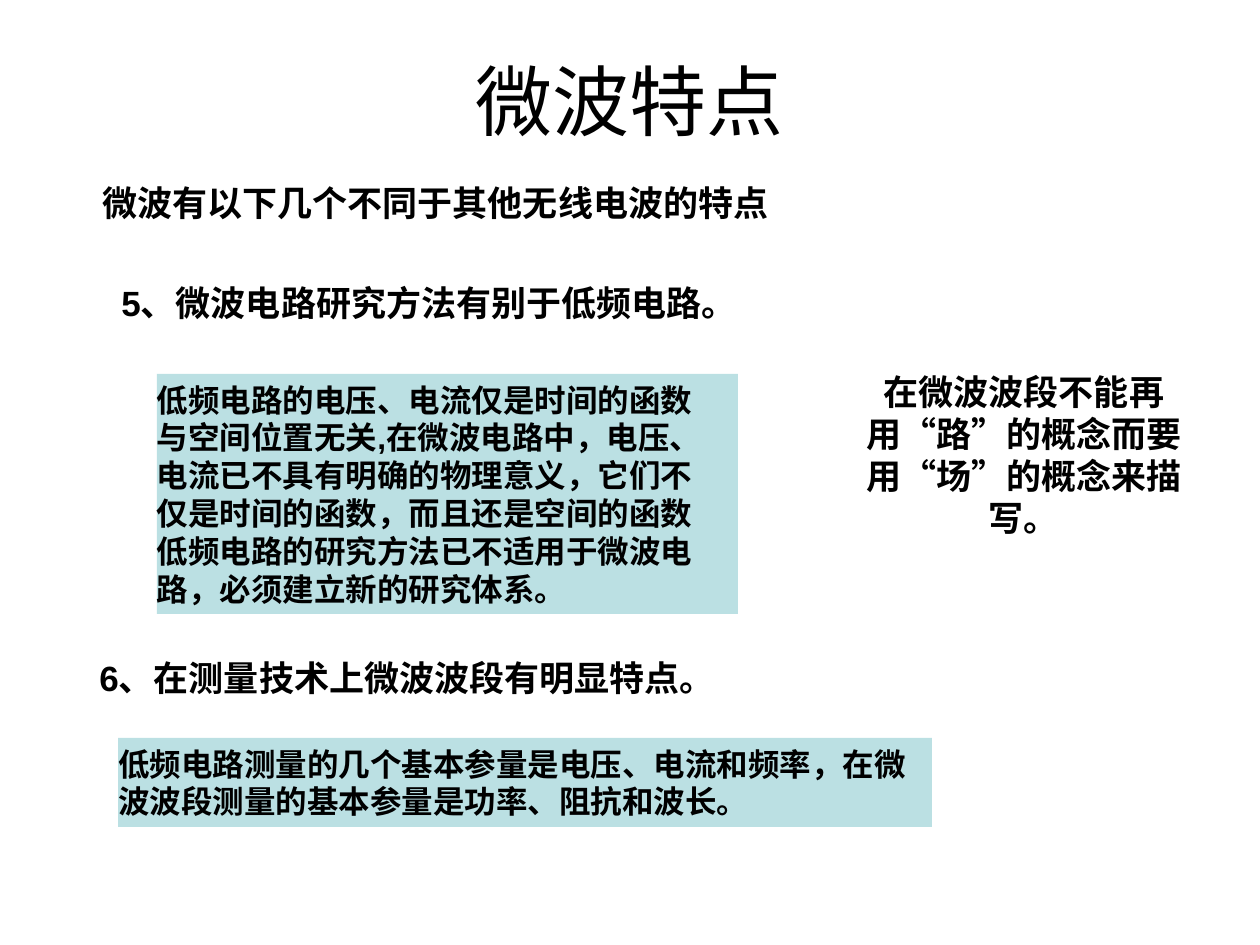
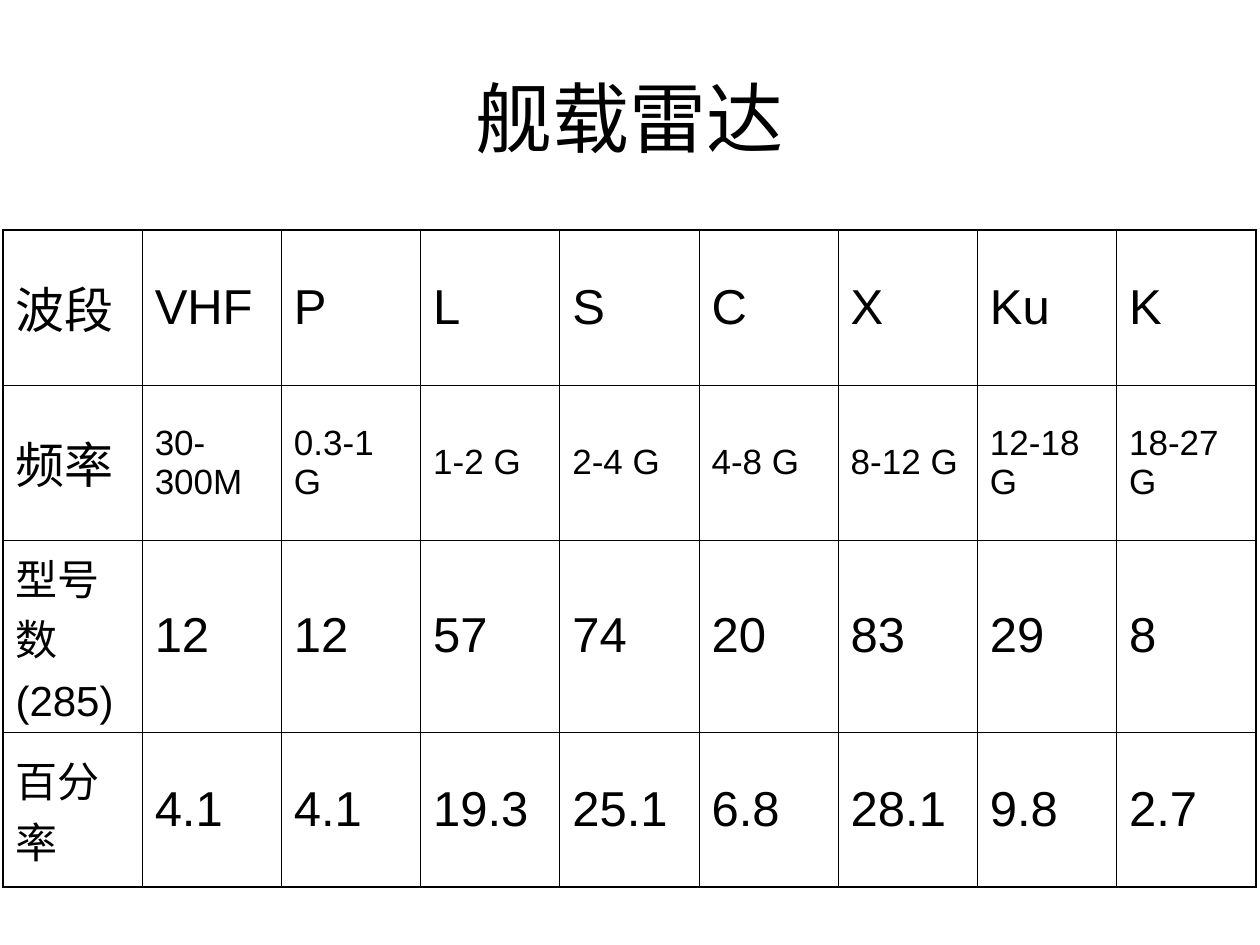
"""Two slides on microwave characteristics and shipborne radar bands."""
import lxml.etree
import pptx
import pptx.dml.color
import pptx.enum.lang
import pptx.enum.shapes
import pptx.enum.text
import pptx.oxml.ns
import pptx.util

PX = pptx.util.Inches(1) / 126
COLORS = {"ink": "000000", "panel": "BBE0E3"}
FONT = "Arial"
ALIGN = pptx.enum.text.PP_ALIGN
ANCHOR = pptx.enum.text.MSO_ANCHOR
BORDER = pptx.util.Pt(0.45)
FRAME = pptx.util.Pt(1.08)

RADAR_ROWS = [
    ["波段", "VHF", "P", "L", "S", "C", "X", "Ku", "K"],
    ["频率", "30-300M", "0.3-1 G", "1-2 G", "2-4 G", "4-8 G", "8-12 G", "12-18 G", "18-27 G"],
    ["型号数\n(285)", "12", "12", "57", "74", "20", "83", "29", "8"],
    ["百分率", "4.1", "4.1", "19.3", "25.1", "6.8", "28.1", "9.8", "2.7"],
]
LABEL_SIZES = [28, 28, 24, 24]
VALUE_SIZES = [28, 20, 28, 28]
ROW_HEIGHTS = [155, 155, 192, 155]


def px(length):
    """Turn a length in px into EMU."""
    return round(length * PX)


def color(name):
    """Return a named colour."""
    return pptx.dml.color.RGBColor.from_string(COLORS[name])


def write(frame, text, size, bold=False, align=ALIGN.LEFT, gap=0):
    """Write lines of text as paragraphs of one style, gap points apart."""
    frame.text = text
    for index, para in enumerate(frame.paragraphs):
        para.alignment = align
        para._p.get_or_add_pPr().set("hangingPunct", "0")
        if index:
            para.space_before = pptx.util.Pt(gap)
        for span in para.runs:
            span.font.name = FONT
            span.font.size = pptx.util.Pt(size)
            span.font.bold = bold
            span.font.color.rgb = color("ink")
            span.font.language_id = pptx.enum.lang.MSO_LANGUAGE_ID.SIMPLIFIED_CHINESE


def add_text(page, box, text, size, wrap=True, anchor=ANCHOR.MIDDLE, grow=True, **style):
    """Add a text box."""
    frame = page.shapes.add_textbox(*map(px, box)).text_frame
    frame.word_wrap = wrap
    frame.vertical_anchor = anchor
    if grow:
        frame.auto_size = pptx.enum.text.MSO_AUTO_SIZE.SHAPE_TO_FIT_TEXT
    write(frame, text, size, **style)


def add_title(page, box, text):
    """Add a centred slide title."""
    add_text(page, box, text, 44, grow=False, align=ALIGN.CENTER)


def add_heading(page, box, text):
    """Add a bold heading on one line."""
    add_text(page, box, text, 20, wrap=False, bold=True)


def add_panel(page, box, text):
    """Add a tinted panel of bold text."""
    panel = page.shapes.add_shape(pptx.enum.shapes.MSO_SHAPE.RECTANGLE, *map(px, box))
    panel.shadow.inherit = False
    panel.fill.solid()
    panel.fill.fore_color.rgb = color("panel")
    panel.line.fill.background()
    frame = panel.text_frame
    frame.word_wrap = True
    frame.vertical_anchor = ANCHOR.MIDDLE
    frame.margin_left = frame.margin_right = 0
    write(frame, text, 18, bold=True)


def set_borders(cell, widths):
    """Draw the left, right, top and bottom borders of a cell."""
    properties = cell._tc.get_or_add_tcPr()
    for index, (side, width) in enumerate(zip("LRTB", widths)):
        line = lxml.etree.Element(pptx.oxml.ns.qn(f"a:ln{side}"), w=str(int(width)))
        fill = lxml.etree.SubElement(line, pptx.oxml.ns.qn("a:solidFill"))
        lxml.etree.SubElement(fill, pptx.oxml.ns.qn("a:srgbClr"), val=COLORS["ink"])
        properties.insert(index, line)


def add_radar_table(page, box):
    """Add the table of radar bands with a heavier outer frame."""
    rows, columns = len(RADAR_ROWS), len(RADAR_ROWS[0])
    table = page.shapes.add_table(rows, columns, *map(px, box)).table
    table.first_row = table.horz_banding = False
    for r, values in enumerate(RADAR_ROWS):
        table.rows[r].height = px(ROW_HEIGHTS[r])
        for c, value in enumerate(values):
            cell = table.cell(r, c)
            cell.fill.background()
            cell.vertical_anchor = ANCHOR.MIDDLE
            size = VALUE_SIZES[r] if c else LABEL_SIZES[r]
            write(cell.text_frame, value, size, gap=6)
            outer = [c == 0, c == columns - 1, r == 0, r == rows - 1]
            set_borders(cell, [FRAME if edge else BORDER for edge in outer])


def build_features(page):
    """Build the slide on microwave characteristics."""
    add_title(page, (73, 26, 1113, 147), "微波特点")
    add_heading(page, (90, 175, 692, 55), "微波有以下几个不同于其他无线电波的特点")
    add_heading(page, (109, 275, 656, 55), "5、微波电路研究方法有别于低频电路。")
    add_panel(page, (157, 374, 581, 240), "\n".join([
        "低频电路的电压、电流仅是时间的函数",
        "与空间位置无关,在微波电路中，电压、",
        "电流已不具有明确的物理意义，它们不",
        "仅是时间的函数，而且还是空间的函数",
        "低频电路的研究方法已不适用于微波电路，必须建立新的研究体系。",
    ]))
    add_panel(page, (118, 738, 814, 89),
              "低频电路测量的几个基本参量是电压、电流和频率，在微波波段测量的基本参量是功率、阻抗和波长。")
    add_heading(page, (87, 650, 656, 55), "6、在测量技术上微波波段有明显特点。")
    add_text(page, (847, 364, 354, 181),
             "在微波波段不能再用“路”的概念而要用“场”的概念来描写。",
             20, anchor=ANCHOR.TOP, bold=True, align=ALIGN.CENTER)


def build_radar(page):
    """Build the slide on shipborne radar."""
    add_title(page, (63, 38, 1134, 157), "舰载雷达")
    add_radar_table(page, (3, 230, 1253, sum(ROW_HEIGHTS)))


def main():
    """Build and save the deck."""
    deck = pptx.Presentation()
    deck.slide_width, deck.slide_height = px(1260), px(945)
    for build in (build_features, build_radar):
        build(deck.slides.add_slide(deck.slide_layouts[6]))
    deck.save("out.pptx")


if __name__ == "__main__":
    main()
